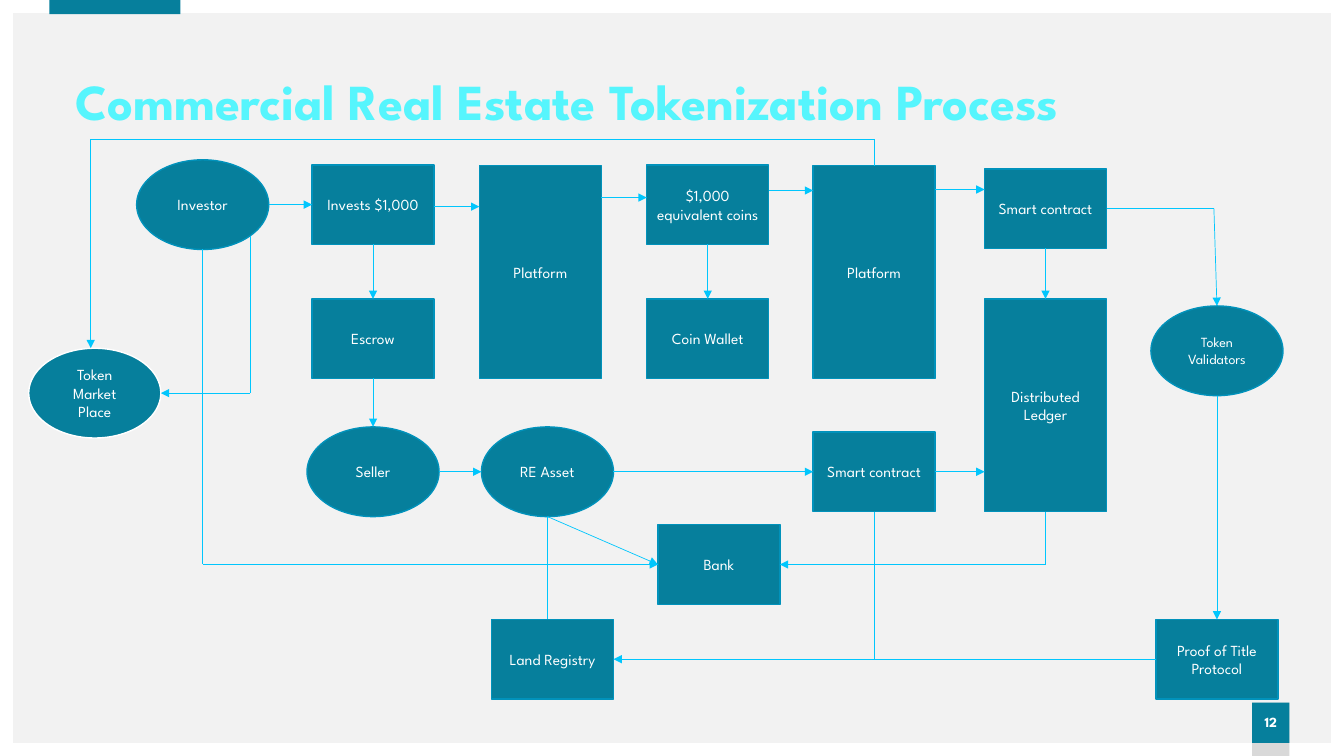
from itertools import pairwise

from lxml import etree
from pptx import Presentation
from pptx import util as u
from pptx.dml.color import RGBColor
from pptx.enum import shapes, text
from pptx.oxml.ns import qn

FONT = "League Spartan"
C = {"page": "F2F2F2", "white": "FFFFFF", "teal": "067F9C", "edge": "0192BB",
     "arrow": "01C6FD", "title": "56F5FD", "grey": "D9D9D9"}

# Grid of centre lines, in inches
COL = {"market": 0.94, "investor": 2.01, "escrow": 3.7, "platform": 5.36,
       "asset": 5.43, "registry": 5.48, "coins": 7.02, "bank": 7.13,
       "platform2": 8.67, "ledger": 10.37, "validators": 12.07}
ROW = {"top": 2.03, "contract": 2.07, "tall": 2.7, "wallet": 3.36,
       "validators": 3.48, "market": 3.9, "ledger": 4.02, "asset": 4.68,
       "bank": 5.6, "registry": 6.54}

RECT, OVAL = shapes.MSO_SHAPE.RECTANGLE, shapes.MSO_SHAPE.OVAL
BOX, TALL, ROUND = (RECT, 1.21, 0.79), (RECT, 1.21, 2.11), (OVAL, 1.31, 0.89)

# name: (form, column, row, label)
NODES = {
    "investor": (ROUND, "investor", "top", "Investor"),
    "invests": (BOX, "escrow", "top", "Invests $1,000"),
    "escrow": (BOX, "escrow", "wallet", "Escrow"),
    "seller": (ROUND, "escrow", "asset", "Seller"),
    "platform": (TALL, "platform", "tall", "Platform"),
    "asset": (ROUND, "asset", "asset", "RE Asset"),
    "registry": (BOX, "registry", "registry", "Land Registry"),
    "coins": (BOX, "coins", "top", "$1,000 equivalent coins"),
    "wallet": (BOX, "coins", "wallet", "Coin Wallet"),
    "bank": (BOX, "bank", "bank", "Bank"),
    "platform2": (TALL, "platform2", "tall", "Platform"),
    "contract2": (BOX, "platform2", "asset", "Smart contract"),
    "contract": (BOX, "ledger", "contract", "Smart contract"),
    "ledger": (TALL, "ledger", "ledger", "Distributed Ledger"),
    "validators": (ROUND, "validators", "validators", "Token Validators"),
    "proof": (BOX, "validators", "registry", "Proof of Title Protocol"),
    "market": (ROUND, "market", "market", "Token Market Place"),
}


def rgb(name):
    return RGBColor.from_string(C[name])


def write(tf, words, size, color, bold=False, align=text.PP_ALIGN.CENTER):
    tf.word_wrap = True
    tf.vertical_anchor = text.MSO_ANCHOR.MIDDLE
    p = tf.paragraphs[0]
    p.alignment = align
    r = p.add_run()
    r.text = words
    r.font.name, r.font.size, r.font.bold = FONT, u.Pt(size), bold
    r.font.color.rgb = rgb(color)
    return p


def add_block(s, form, left, top, width, height, fill, line=None):
    sp = s.shapes.add_shape(form, *map(u.Inches, (left, top, width, height)))
    sp.shadow.inherit = False
    sp.fill.solid()
    sp.fill.fore_color.rgb = rgb(fill)
    if line:
        sp.line.color.rgb = rgb(line)
        sp.line.width = u.Pt(1)
    else:
        sp.line.fill.background()
    return sp


def add_node(s, name):
    (form, w, h), col, row, label = NODES[name]
    line = "white" if name == "market" else "edge"
    sp = add_block(s, form, COL[col] - w / 2, ROW[row] - h / 2, w, h, "teal", line)
    write(sp.text_frame, label, 10 if name == "validators" else 11, "white")


def side(name, edge, x=None, y=None):
    """Point on the left, right, top or bottom (l, r, t, b) of a node."""
    (_, w, h), col, row, _ = NODES[name]
    dx, dy = {"l": (-1, 0), "r": (1, 0), "t": (0, -1), "b": (0, 1)}[edge]
    return (x or COL[col] + dx * w / 2, y or ROW[row] + dy * h / 2)


def add_route(s, *points, arrow=True):
    """Straight segments through the points, the last with an arrowhead."""
    segments = list(pairwise(points))
    for start, end in segments:
        cn = s.shapes.add_connector(shapes.MSO_CONNECTOR.STRAIGHT,
                                    *map(u.Inches, start + end))
        cn.line.color.rgb = rgb("arrow")
        cn.line.width = u.Pt(0.5)
        sp_pr = cn._element.spPr
        if arrow and end == points[-1]:
            etree.SubElement(sp_pr.find(qn("a:ln")), qn("a:tailEnd"), type="triangle")
        etree.SubElement(sp_pr, qn("a:effectLst"))


def add_frame(s):
    sp = add_block(s, shapes.MSO_SHAPE.FRAME, 0, 0, 13.33, 7.5, "white")
    sp.adjustments[0] = 0.017
    add_block(s, RECT, 0.49, 0, 1.3, 0.14, "teal")
    add_block(s, RECT, 12.42, 6.97, 0.37, 0.53, "grey")
    number = add_block(s, RECT, 12.42, 6.97, 0.37, 0.4, "teal").text_frame
    number.margin_left = number.margin_right = 0
    write(number, "12", 10, "white", bold=True).line_spacing = 0.9


def add_title(s):
    tb = s.shapes.add_textbox(*map(u.Inches, (0.65, 0.71, 12.22, 0.65)))
    p = write(tb.text_frame, "Commercial Real Estate Tokenization Process", 36,
              "title", bold=True, align=text.PP_ALIGN.LEFT)
    p.line_spacing = 0.9


def add_routes(s):
    # Along the top row
    add_route(s, side("investor", "r"), side("invests", "l"))
    add_route(s, side("invests", "r", y=2.05), side("platform", "l", y=2.05))
    add_route(s, side("platform", "r", y=1.96), side("coins", "l", y=1.96))
    add_route(s, side("coins", "r", y=1.89), side("platform2", "l", y=1.89))
    add_route(s, side("platform2", "r", y=1.88), side("contract", "l", y=1.88))

    # Down the columns
    for upper, lower in (("invests", "escrow"), ("escrow", "seller"),
                         ("coins", "wallet"), ("contract", "ledger"),
                         ("validators", "proof")):
        add_route(s, side(upper, "b"), side(lower, "t"))

    # Along the asset row
    for left, right in (("seller", "asset"), ("asset", "contract2")):
        add_route(s, side(left, "r"), side(right, "l"))
    add_route(s, side("contract2", "r"), side("ledger", "l", y=ROW["asset"]))

    # Into the bank and the land registry
    add_route(s, side("investor", "b"), (COL["investor"], ROW["bank"]), side("bank", "l"))
    add_route(s, side("asset", "b"), side("bank", "l"))
    add_route(s, side("ledger", "b"), (COL["ledger"], ROW["bank"]), side("bank", "r"))
    add_route(s, side("asset", "b"), side("registry", "t", x=COL["asset"]), arrow=False)
    add_route(s, side("proof", "l"), side("registry", "r"))
    add_route(s, side("contract2", "b"), (COL["platform2"], ROW["registry"]), arrow=False)

    # Into the validators and the market place
    add_route(s, side("contract", "r"), (12.04, ROW["contract"]), side("validators", "t"))
    add_route(s, side("platform2", "t"), (COL["platform2"], 1.38), (0.9, 1.38),
              side("market", "t", x=0.9))
    add_route(s, (2.48, 2.34), (2.48, ROW["market"]), side("market", "r"))


def main():
    prs = Presentation()
    prs.slide_width, prs.slide_height = u.Inches(13.33), u.Inches(7.5)
    s = prs.slides.add_slide(prs.slide_layouts[6])
    s.background.fill.solid()
    s.background.fill.fore_color.rgb = rgb("page")
    add_frame(s)
    for name in NODES:
        add_node(s, name)
    add_routes(s)
    add_title(s)
    prs.save("out.pptx")


if __name__ == "__main__":
    main()
